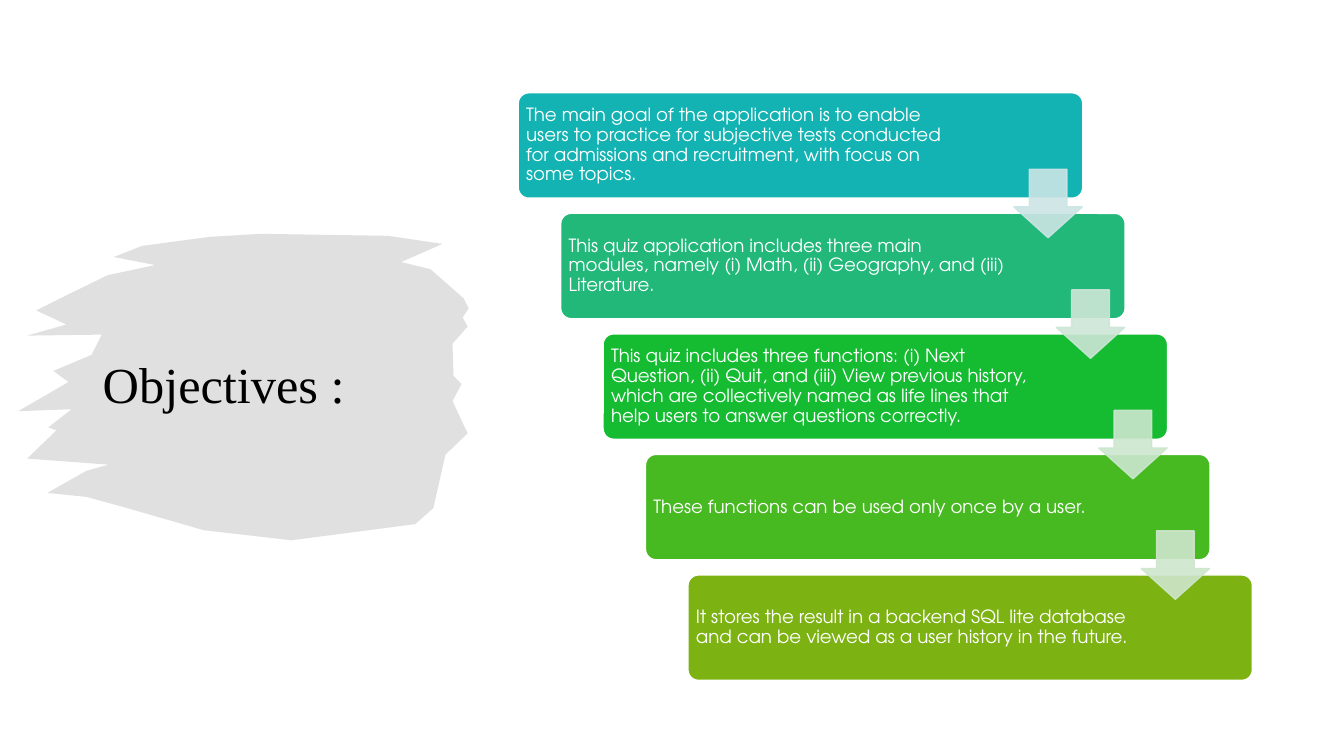
from lxml.etree import SubElement
from pptx import Presentation
from pptx.dml.color import RGBColor
from pptx.enum.shapes import MSO_SHAPE
from pptx.enum.text import MSO_ANCHOR
from pptx.oxml.ns import qn
from pptx.util import Inches, Pt

COLS, ROWS = 32, 18
CELL = Inches(7.5) // ROWS
INK = 0.024  # columns per unit of the brush outline

BRUSH = [
    (208, 235), (259, 232), (385, 234), (439, 242), (398, 260), (427, 267),
    (460, 296), (465, 306), (459, 315), (464, 324), (449, 341), (450, 373),
    (458, 381), (449, 398), (464, 430), (442, 451), (430, 504), (412, 520),
    (289, 536), (202, 526), (126, 504), (86, 493), (47, 489), (86, 467),
    (108, 461), (27, 455), (56, 427), (48, 424), (71, 406), (18, 408),
    (44, 393), (68, 379), (53, 368), (91, 352), (101, 332), (27, 333),
    (66, 322), (36, 308), (66, 293), (107, 273), (154, 263), (113, 255),
    (141, 244),
]

# text, bar colour, arrow colour
GOALS = [
    ("The main goal of the application is to enable users to practice for "
     "subjective tests conducted for admissions and recruitment, with focus "
     "on some topics.", "14B3B3", "CCE5E5"),
    ("This quiz application includes three main modules, namely (i) Math, "
     "(ii) Geography, and (iii) Literature.", "21B87A", "CDE6D7"),
    ("This quiz includes three functions: (i) Next Question, (ii) Quit, and "
     "(iii) View previous history, which are collectively named as life "
     "lines that help users to answer questions correctly.",
     "15BC31", "CCE7CE"),
    ("These functions can be used only once by a user.", "47B921", "CFE6CD"),
    ("It stores the result in a backend SQL lite database and can be viewed "
     "as a user history in the future.", "7DB213", None),
]


def tone(code):
    return RGBColor.from_string(code)


def span(*cells):
    """Turn grid columns or rows into EMU."""
    return [round(n * CELL) for n in cells]


def fade(shape, alpha):
    """Set the opacity, in percent, of a shape's fill and line."""
    for rgb in shape.element.iter(qn("a:srgbClr")):
        SubElement(rgb, qn("a:alpha")).set("val", str(alpha * 1000))


class Deck:
    def __init__(self):
        self.show = Presentation()
        self.show.slide_width, self.show.slide_height = span(COLS, ROWS)
        self.font, self.size, self.ink = "TeX Gyre Adventor", 13, "FFFFFF"
        self.slide = self.show.slides.add_slide(self.show.slide_layouts[6])

    def paint(self, shape, fill, line=None, alpha=100):
        shape.shadow.inherit = False
        shape.fill.solid()
        shape.fill.fore_color.rgb = tone(fill)
        if line:
            shape.line.color.rgb = tone(line)
            shape.line.width = Pt(1)
        else:
            shape.line.fill.background()
        if alpha < 100:
            fade(shape, alpha)

    def block(self, kind, box, fill, line, adjust, alpha=100):
        shape = self.slide.shapes.add_shape(kind, *span(*box))
        for spot, value in enumerate(adjust):
            shape.adjustments[spot] = value
        self.paint(shape, fill, line, alpha)

    def blot(self, points, fill, alpha):
        pen = self.slide.shapes.build_freeform(*points[0], scale=CELL * INK)
        pen.add_line_segments(points[1:], close=True)
        self.paint(pen.convert_to_shape(), fill, alpha=alpha)

    def text(self, words, box, font=None, size=None, ink=None, inset=0.12):
        """Add a wrapped, vertically centred text box."""
        frame = self.slide.shapes.add_textbox(*span(*box)).text_frame
        frame.word_wrap = True
        frame.vertical_anchor = MSO_ANCHOR.MIDDLE
        frame.margin_left, frame.margin_right = span(inset, inset)
        frame.margin_top, frame.margin_bottom = span(0.12, 0.12)
        para = frame.paragraphs[0]
        para.line_spacing = 0.9
        run = para.add_run()
        run.text = words
        run.font.name = font or self.font
        run.font.size = Pt(size or self.size)
        run.font.color.rgb = tone(ink or self.ink)


def main():
    deck = Deck()
    deck.blot(BRUSH, "D9D9D9", 80)
    deck.text("Objectives :", (2.21, 3.94, 8.45, 10.56),
              font="Times New Roman", size=36, ink="000000", inset=0.24)

    spots = [(12.34 + 1.01 * step, 2.21 + 2.87 * step)
             for step in range(len(GOALS))]
    for (left, top), (words, fill, _) in zip(spots, GOALS):
        deck.block(MSO_SHAPE.ROUNDED_RECTANGLE, (left, top, 13.44, 2.51),
                   fill, "FFFFFF", [0.1])
        wide = 10.42 if top == spots[0][1] else 10.66
        deck.text(words, (left + 0.07, top + 0.07, wide, 2.37))
    for (left, top), (_, _, pale) in zip(spots[:-1], GOALS):
        deck.block(MSO_SHAPE.DOWN_ARROW, (left + 11.8, top + 1.82, 1.63, 1.63),
                   pale, pale, [0.55, 0.45], alpha=90)

    deck.show.save("out.pptx")


if __name__ == "__main__":
    main()
